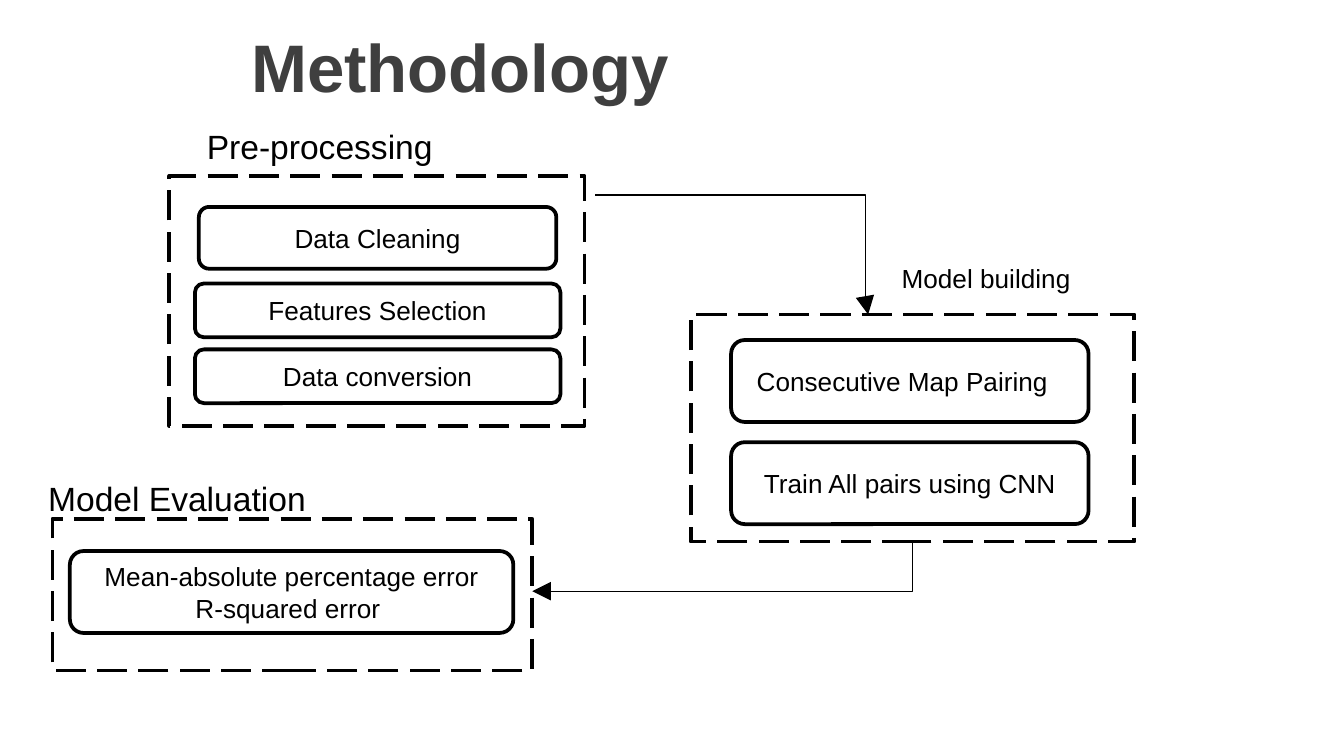
from dataclasses import dataclass

from pptx import Presentation
from pptx import util as u
from pptx.dml.color import RGBColor
from pptx.enum import dml, shapes, text
from pptx.oxml.ns import qn

SCALE = 9144  # EMU in one px, 100 px to the inch


@dataclass(frozen=True)
class Theme:
    font: str = "Arial"
    ink: RGBColor = RGBColor(0, 0, 0)
    paper: RGBColor = RGBColor(255, 255, 255)
    heading: RGBColor = RGBColor(0x3F, 0x3F, 0x3F)
    title_size: int = 36
    label_size: int = 18
    body_size: int = 14
    border: float = 2
    arrow: float = 0.75


THEME = Theme()


def px(*lengths):
    return [u.Emu(length * SCALE) for length in lengths]


def write(frame, lines, size, color=THEME.ink, bold=False, align=text.PP_ALIGN.LEFT):
    frame.word_wrap = True
    frame.auto_size = text.MSO_AUTO_SIZE.NONE
    for number, line in enumerate(lines):
        paragraph = frame.add_paragraph() if number else frame.paragraphs[0]
        paragraph.alignment = align
        run = paragraph.add_run()
        run.text = line
        run.font.name = THEME.font
        run.font.size = u.Pt(size)
        run.font.bold = bold
        run.font.color.rgb = color


def add_title(slide, wording):
    title = slide.shapes.title
    title.left, title.top, title.width, title.height = px(177, 0, 823, 97)
    title.text_frame.vertical_anchor = text.MSO_ANCHOR.MIDDLE
    write(title.text_frame, [wording], THEME.title_size, THEME.heading, bold=True)


def add_label(slide, box, wording, size):
    label = slide.shapes.add_textbox(*px(*box))
    write(label.text_frame, [wording], size)


def add_outlined(slide, kind, box):
    shape = slide.shapes.add_shape(kind, *px(*box))
    shape.shadow.inherit = False
    shape.line.color.rgb = THEME.ink
    shape.line.width = u.Pt(THEME.border)
    return shape


def add_stage(slide, box):
    """Dashed frame around the steps of one stage."""
    stage = add_outlined(slide, shapes.MSO_SHAPE.RECTANGLE, box)
    stage.fill.background()
    stage.line.dash_style = dml.MSO_LINE.LONG_DASH
    return stage


def add_step(slide, box, *lines, right_inset=10):
    step = add_outlined(slide, shapes.MSO_SHAPE.ROUNDED_RECTANGLE, box)
    step.fill.solid()
    step.fill.fore_color.rgb = THEME.paper
    step.text_frame.vertical_anchor = text.MSO_ANCHOR.MIDDLE
    step.text_frame.margin_right = px(right_inset)[0]
    write(step.text_frame, lines, THEME.body_size, align=text.PP_ALIGN.CENTER)


def add_elbow_arrow(slide, start, end):
    arrow = slide.shapes.add_connector(shapes.MSO_CONNECTOR.ELBOW, *px(*start, *end))
    arrow.line.color.rgb = THEME.ink
    arrow.line.width = u.Pt(THEME.arrow)
    properties = arrow.element.spPr
    outline = properties.get_or_add_ln()
    head = {"type": "triangle", "w": "lg", "len": "lg"}
    outline.append(outline.makeelement(qn("a:tailEnd"), head))
    properties.append(properties.makeelement(qn("a:effectLst"), {}))
    return arrow


def set_bend(arrow, share):
    """Place the vertical part at a share of the arrow's width."""
    guides = arrow.element.spPr.prstGeom.get_or_add_avLst()
    value = f"val {round(share * 100000)}"
    guides.append(guides.makeelement(qn("a:gd"), {"name": "adj1", "fmla": value}))


def turn_down_then_left(arrow):
    """Give the arrow one corner: a quarter turn of the two-part elbow."""
    run, drop = arrow.width, arrow.height
    shift = (run - drop) // 2
    arrow.left, arrow.top = arrow.left + shift, arrow.top - shift
    arrow.width, arrow.height = drop, run
    properties = arrow.element.spPr
    properties.prstGeom.set("prst", "bentConnector2")
    frame = properties.find(qn("a:xfrm"))
    frame.attrib.pop("flipH", None)
    frame.set("rot", str(90 * 60000))


def main():
    deck = Presentation()
    deck.slide_width = px(1000)[0]
    deck.slide_height = u.Emu(deck.slide_width * 9 // 16)
    slide = deck.slides.add_slide(deck.slide_layouts[5])
    add_title(slide, "Methodology")

    add_stage(slide, (126, 131, 309, 186))
    add_label(slide, (144, 89, 309, 40), "Pre-processing", THEME.label_size)
    add_step(slide, (148, 154, 266, 46), "Data Cleaning")
    for row, wording in enumerate(["Features Selection", "Data conversion"]):
        add_step(slide, (145, 211 + 49 * row, 272, 40), wording)

    building = add_stage(slide, (514, 234, 330, 169))
    add_label(slide, (661, 190, 221, 34), "Model building", THEME.body_size)
    add_step(slide, (544, 253, 266, 61), "Consecutive Map Pairing", right_inset=21)
    add_step(slide, (544, 329, 266, 61), "Train All pairs using CNN")

    add_stage(slide, (39, 386, 357, 113))
    add_label(slide, (26, 351, 221, 40), "Model Evaluation", THEME.label_size)
    add_step(slide, (52, 410, 330, 61),
             "Mean-absolute percentage error", "R-squared error ")

    to_building = add_elbow_arrow(slide, (443, 145), (646, 234))
    set_bend(to_building, 0.99)
    to_evaluation = add_elbow_arrow(slide, (679, 403), (396, 440))
    to_evaluation.begin_connect(building, 2)
    turn_down_then_left(to_evaluation)

    deck.save("out.pptx")


if __name__ == "__main__":
    main()
